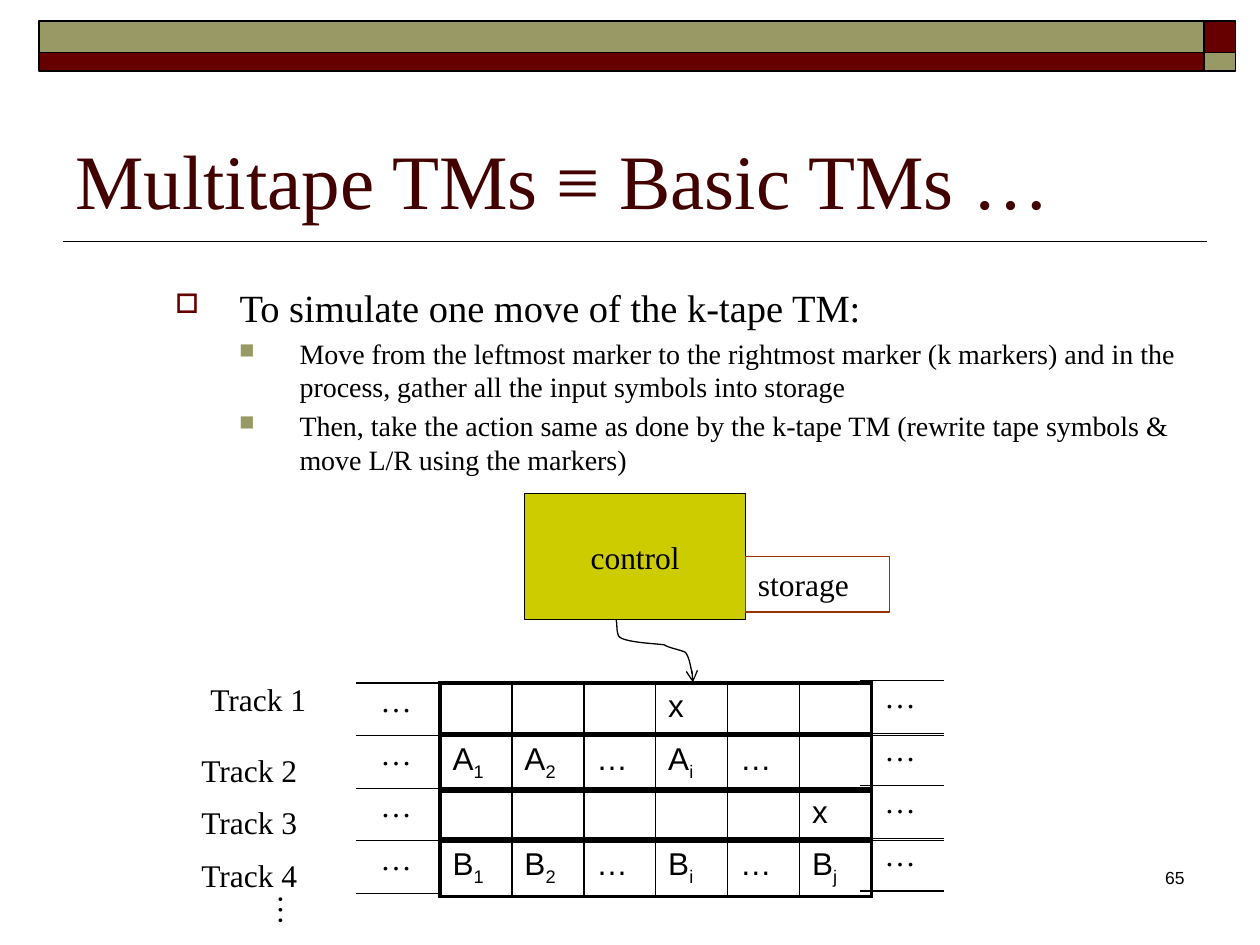
from lxml.etree import SubElement
from pptx import Presentation
from pptx.dml.color import RGBColor
from pptx.enum.shapes import MSO_CONNECTOR as Link, MSO_SHAPE as Preset
from pptx.enum.text import MSO_ANCHOR as Anchor, PP_ALIGN as Align
from pptx.oxml import parse_xml
from pptx.oxml.ns import nsdecls, qn
from pptx.util import Cm, Pt

BLACK = RGBColor(0x00, 0x00, 0x00)
MAROON = RGBColor(0x66, 0x00, 0x00)
DARK_MAROON = RGBColor(0x42, 0x00, 0x00)
OLIVE = RGBColor(0x99, 0x99, 0x66)
LIME = RGBColor(0xCC, 0xCC, 0x00)
RUST = RGBColor(0x99, 0x33, 0x00)
SERIF, SANS = "Times New Roman", "Arial"

TRACK_PITCH, CELL_WIDTH, TAPE_END = 1.06, 1.45, 1.7
TRACKS = [
    ["", "", "", "x", "", ""],
    ["A_1", "A_2", "…", "A_i", "…", ""],
    ["", "", "", "", "", "x"],
    ["B_1", "B_2", "…", "B_i", "…", "B_j"],
]


def write(paragraph, text, size=18, font=SERIF, color=BLACK, align=None, before=0):
    """Fill a paragraph; what follows an underscore becomes a subscript."""
    paragraph.alignment = align
    paragraph.space_before = Pt(before)
    paragraph.font.size = Pt(size)
    for position, part in enumerate(text.split("_")):
        run = paragraph.add_run()
        run.text = part
        run.font.size, run.font.name = Pt(size), font
        run.font.color.rgb = color
        if position:
            run.font._element.set("baseline", "-25000")


def add_label(slide, text, left, top, width, height, anchor=Anchor.TOP, **style):
    label = slide.shapes.add_textbox(Cm(left), Cm(top), Cm(width), Cm(height))
    label.text_frame.word_wrap = True
    label.text_frame.vertical_anchor = anchor
    write(label.text_frame.paragraphs[0], text, **style)
    return label


def add_box(slide, left, top, width, height, fill=None, line=BLACK, weight=1):
    box = slide.shapes.add_shape(Preset.RECTANGLE, Cm(left), Cm(top), Cm(width), Cm(height))
    box.shadow.inherit = False
    if fill is None:
        box.fill.background()
    else:
        box.fill.solid()
        box.fill.fore_color.rgb = fill
    box.line.color.rgb, box.line.width = line, Pt(weight)
    return box


def add_rule(slide, left, top, width, weight=0.75):
    rule = slide.shapes.add_connector(Link.STRAIGHT, Cm(left), Cm(top), Cm(left + width), Cm(top))
    rule.line.color.rgb, rule.line.width = BLACK, Pt(weight)
    SubElement(rule._element.spPr, qn("a:effectLst"))


def add_banner(slide, left, top, width):
    corner = 0.64
    bar = width - corner
    for y, height, bar_color, corner_color in (
        (top, 0.64, OLIVE, MAROON),
        (top + 0.64, 0.38, MAROON, OLIVE),
    ):
        add_box(slide, left, y, bar, height, bar_color)
        add_box(slide, left + bar, y, corner, height, corner_color)


def set_bullet(paragraph, symbol, color, percent, left, hanging):
    properties = paragraph._p.get_or_add_pPr()
    properties.set("marL", str(Cm(left)))
    properties.set("indent", str(-Cm(hanging)))
    bullet_color = SubElement(properties, qn("a:buClr"))
    SubElement(bullet_color, qn("a:srgbClr"), val=str(color))
    SubElement(properties, qn("a:buSzPct"), val=str(percent * 1000))
    SubElement(properties, qn("a:buChar"), char=symbol)


def add_body(slide, left, top, width, height):
    frame = add_label(slide, "To simulate one move of the k-tape TM:",
                      left, top, width, height, size=22, before=4.4).text_frame
    set_bullet(frame.paragraphs[0], "□", MAROON, 70, 1.3, 1.3)
    for step in (
        "Move from the leftmost marker to the rightmost marker (k markers) and in the "
        "process, gather all the input symbols into storage",
        "Then, take the action same as done by the k-tape TM (rewrite tape symbols & "
        "move L/R using the markers)",
    ):
        paragraph = frame.add_paragraph()
        paragraph.level = 1
        write(paragraph, step, size=16, before=3.2)
        set_bullet(paragraph, "■", OLIVE, 75, 2.51, 1.22)


def set_borders(cell, **weights):
    properties = cell._tc.get_or_add_tcPr()
    for place, (side, weight) in enumerate(weights.items()):
        properties.insert(place, parse_xml(
            f'<a:ln{side} {nsdecls("a")} w="{Pt(weight)}"><a:solidFill>'
            f'<a:srgbClr val="{BLACK}"/></a:solidFill></a:ln{side}>'))


def add_tape(slide, symbols, left, top):
    count = len(symbols)
    tape = slide.shapes.add_table(1, count, Cm(left), Cm(top),
                                  Cm(CELL_WIDTH * count), Cm(0.56)).table
    tape.first_row = tape.horz_banding = False
    for column, symbol in enumerate(symbols):
        cell = tape.cell(0, column)
        cell.fill.background()
        set_borders(cell, L=1 if column else 2.25,
                    R=1 if column < count - 1 else 2.25, T=2.25, B=2.25)
        paragraph = cell.text_frame.paragraphs[0]
        if symbol:
            write(paragraph, symbol, font=SANS, before=3.6)
        else:
            paragraph.font.size = Pt(18)


def add_tracks(slide, left, top):
    tape_left = left + 4.88
    left_end, right_end = tape_left - TAPE_END, tape_left + 6 * CELL_WIDTH - 0.24
    for index, symbols in enumerate(TRACKS):
        y = top + index * TRACK_PITCH
        bottom = y + TRACK_PITCH
        joined = index % 2 == 1
        add_tape(slide, symbols, tape_left, y)
        add_label(slide, "…", tape_left - 1.45, y - 0.16, 1.22, 1.09)
        add_label(slide, "…", right_end + 0.25, y - 0.24, 1.22, 1.09)
        add_rule(slide, left_end + (0.2 if joined else 0), y, TAPE_END)
        add_rule(slide, right_end, y - (0 if joined else 0.05), TAPE_END)
        if index != 1:
            add_rule(slide, left_end, bottom, TAPE_END)
            add_rule(slide, right_end, bottom - 0.05, TAPE_END)
        shift, drop = (0.18, 0.18) if index else (0, -0.18)
        add_label(slide, f"Track {index + 1}", left - shift, y + drop, 2.87, 1.09)
    add_label(slide, "…", left + 1.24, top + 4.07, 1.22, 1.09).rotation = 90


def curve_points(start, curves, steps=12):
    """Yield points along joined cubic Bézier curves."""
    for first, second, end in curves:
        for step in range(1, steps + 1):
            t = step / steps
            u = 1 - t
            yield tuple(Cm(u**3 * a + 3 * u * u * t * b + 3 * u * t * t * c + t**3 * d)
                        for a, b, c, d in zip(start, first, second, end))
        start = end


def add_head_arrow(slide, left, top):
    curves = [
        ((0.03, 0.1), (0, 0.2), (0.05, 0.33)),
        ((0.13, 0.46), (0.74, 0.48), (0.97, 0.51)),
        ((1.09, 0.58), (1.19, 0.58), (1.4, 0.66)),
        ((1.5, 0.81), (1.5, 0.99), (1.55, 1.14)),
        ((1.5, 1.24), (1.45, 1.22), (1.55, 1.27)),
    ]
    builder = slide.shapes.build_freeform(0, 0)
    builder.add_line_segments(list(curve_points((0, 0), curves)), close=False)
    arrow = builder.convert_to_shape(Cm(left), Cm(top))
    arrow.shadow.inherit = False
    arrow.fill.background()
    arrow.line.color.rgb, arrow.line.width = BLACK, Pt(0.75)
    SubElement(arrow.line._get_or_add_ln(), qn("a:tailEnd"), type="arrow")


def add_machine(slide, left, top):
    control = add_box(slide, left, top, 4.45, 2.54, LIME, weight=0.75)
    storage = add_box(slide, left + 4.45, top + 1.27, 2.9, 1.12, line=RUST, weight=0.75)
    for part, name, align in ((control, "control", Align.CENTER), (storage, "storage", Align.LEFT)):
        part.text_frame.vertical_anchor = Anchor.MIDDLE
        write(part.text_frame.paragraphs[0], name, align=align)
    add_head_arrow(slide, left + 1.84, top + 2.54)


def main():
    deck = Presentation()
    deck.slide_width, deck.slide_height = Cm(25.4), Cm(19.05)
    slide = deck.slides.add_slide(deck.slide_layouts[6])
    add_rule(slide, 1.27, 4.87, 23.07, weight=1)
    add_banner(slide, 0.78, 0.42, 24.13)
    add_label(slide, "Multitape TMs ≡ Basic TMs …", 1.27, 1.48, 22.86, 3.18,
              anchor=Anchor.BOTTOM, size=44, color=DARK_MAROON)
    add_body(slide, 3.28, 5.61, 21.59, 5.41)
    add_label(slide, "65", 18.85, 17.35, 5.28, 1.27, size=10, font=SANS, align=Align.RIGHT)
    add_tracks(slide, 3.99, 13.77)
    add_machine(slide, 10.58, 9.95)
    deck.save("out.pptx")


if __name__ == "__main__":
    main()
